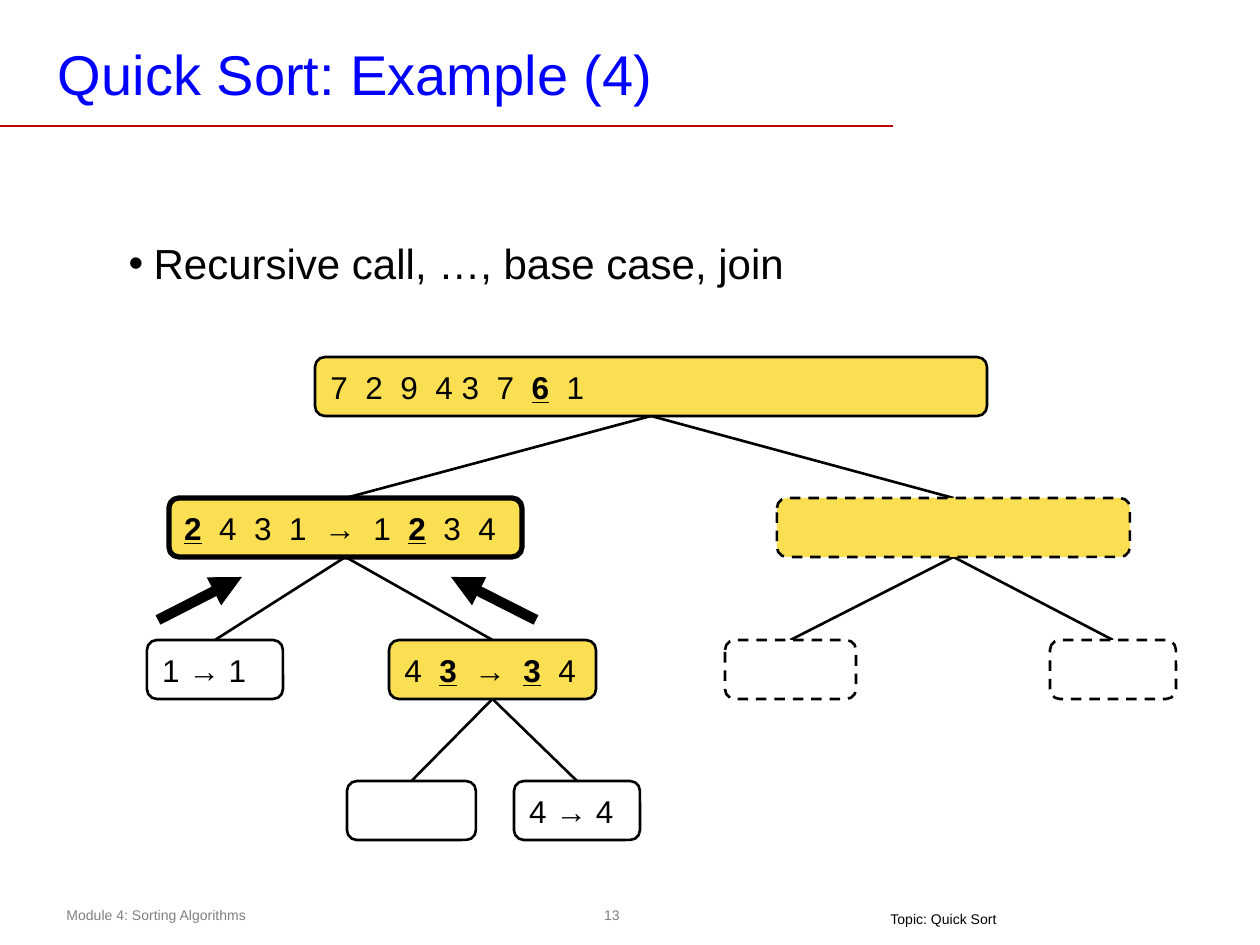
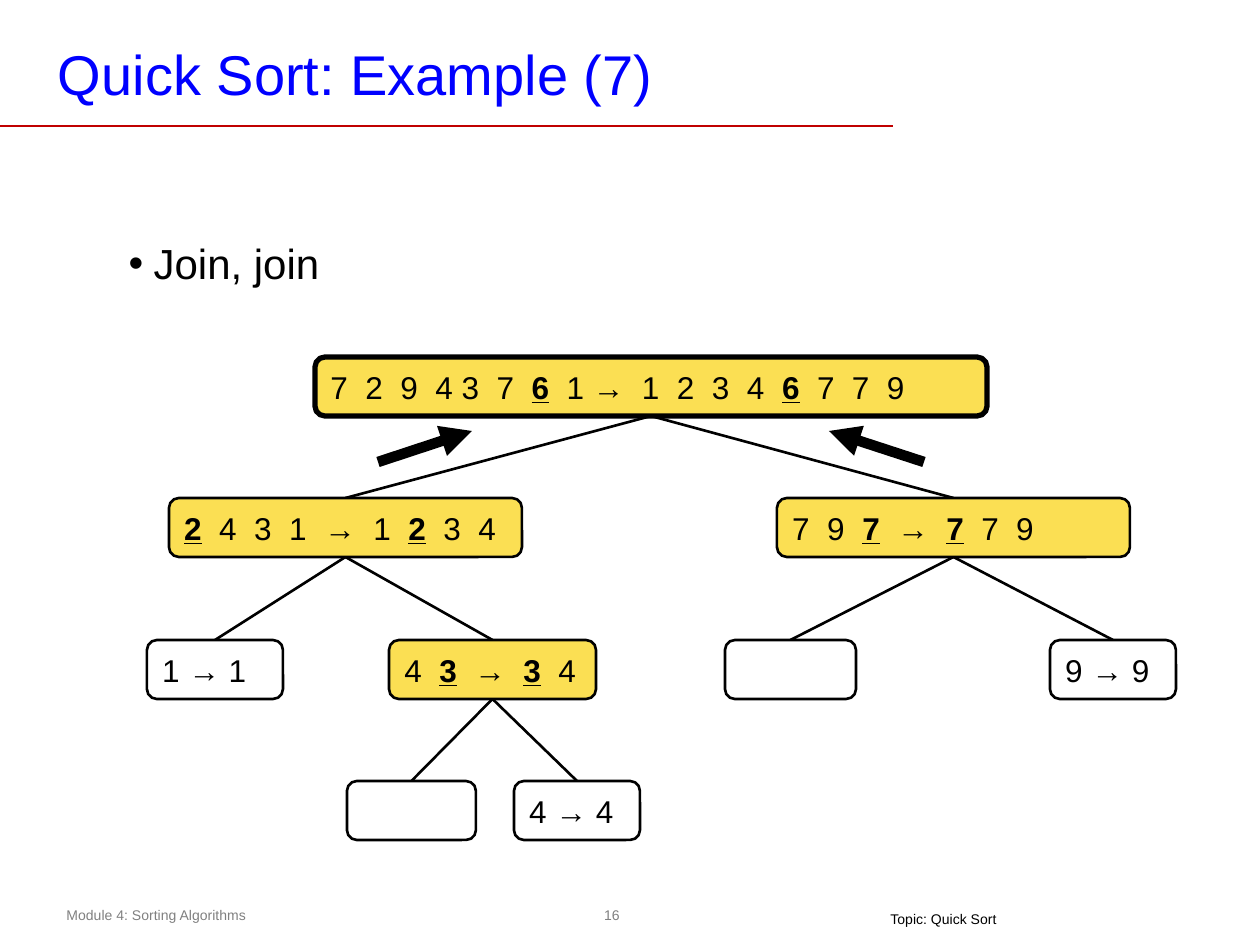
from lxml import etree
from pptx import Presentation
from pptx.dml.color import RGBColor
from pptx.enum.dml import MSO_LINE
from pptx.enum.shapes import MSO_CONNECTOR, MSO_SHAPE
from pptx.enum.text import MSO_ANCHOR, MSO_AUTO_SIZE, PP_ALIGN
from pptx.oxml.ns import qn
from pptx.util import Emu, Pt

FONT = "Arial"
BLACK = RGBColor(0x00, 0x00, 0x00)
WHITE = RGBColor(0xFF, 0xFF, 0xFF)
BLUE = RGBColor(0x00, 0x00, 0xFF)
RED = RGBColor(0xC0, 0x00, 0x00)
GREY = RGBColor(0x80, 0x80, 0x80)
YELLOW = RGBColor(0xFB, 0xDF, 0x53)

EMU_PER_PX = 914400 / 126
NODE_HEIGHT = 59
LEVEL_TOPS = [357, 498, 640, 781]

# name: left, level, width, fill, parent
TREE = {
    "root": (315, 0, 672, YELLOW, None),
    "small": (169, 1, 353, YELLOW, "root"),
    "large": (777, 1, 353, YELLOW, "root"),
    "small low": (147, 2, 136, WHITE, "small"),
    "small high": (389, 2, 207, YELLOW, "small"),
    "large low": (725, 2, 131, WHITE, "large"),
    "large high": (1050, 2, 126, WHITE, "large"),
    "lowest": (347, 3, 129, WHITE, "small high"),
    "highest": (514, 3, 126, WHITE, "small high"),
}

# Asterisks enclose bold text; pivots in bold are also underlined.
SORTED_SMALL = {
    "small": "*2*  4  3  1  *→*  1  *2*  3  4",
    "small low": "1 *→* 1",
    "small high": "4  *3*  *→*  *3*  4",
    "highest": "4 *→* 4",
}
STEPS = [
    {
        "title": "Quick Sort: Example (4)",
        "bullet": "Recursive call, …, base case, join",
        "number": "13",
        "texts": {**SORTED_SMALL, "root": "7  2  9  4 3  7  *6*  1"},
        "active": "small",
        "pending": ["large", "large low", "large high"],
        "arrows": [(158, 620, 242, 577), (536, 620, 451, 577)],
    },
    {
        "title": "Quick Sort: Example (7)",
        "bullet": "Join, join",
        "number": "16",
        "texts": {
            **SORTED_SMALL,
            "root": "7  2  9  4 3  7  *6*  1 *→*  1  2  3  4  *6*  7  7  9",
            "large": "7  9  *7*  *→*  *7*  7  9",
            "large high": "9 *→* 9",
        },
        "active": "root",
        "pending": [],
        "arrows": [(378, 462, 472, 431), (924, 462, 829, 431)],
    },
]


def px(*lengths):
    return [Emu(round(length * EMU_PER_PX)) for length in lengths]


def add_line(slide, ends, color, width):
    connector = slide.shapes.add_connector(MSO_CONNECTOR.STRAIGHT, *px(*ends))
    connector.line.color.rgb = color
    connector.line.width = Pt(width)
    etree.SubElement(connector._element.spPr, qn("a:effectLst"))
    return connector


presentation = Presentation()
presentation.slide_width, presentation.slide_height = px(1260, 945)

for step in STEPS:
    slide = presentation.slides.add_slide(presentation.slide_layouts[1])
    title, body = slide.placeholders
    add_line(slide, (0, 126, 893, 126), RED, 1)

    # Title and bullet
    for shape, text, box, size, color, anchor in [
        (title, step["title"], (49, 35, 935, 76), 32, BLUE, MSO_ANCHOR.BOTTOM),
        (body, step["bullet"], (116, 231, 1071, 95), 24, BLACK, MSO_ANCHOR.TOP),
    ]:
        shape.left, shape.top, shape.width, shape.height = px(*box)
        frame = shape.text_frame
        frame.text = text
        frame.auto_size = MSO_AUTO_SIZE.NONE
        frame.vertical_anchor = anchor
        paragraph = frame.paragraphs[0]
        paragraph.alignment = PP_ALIGN.LEFT
        paragraph.space_before = Pt(0)
        paragraph.font.name = FONT
        paragraph.font.size = Pt(size)
        paragraph.font.color.rgb = color
    frame = title.text_frame
    frame.margin_left, frame.margin_right, frame.margin_top, frame.margin_bottom = px(9, 9, 4, 4)
    bullet_indent = px(25)[0]
    properties = body.text_frame.paragraphs[0]._p.get_or_add_pPr()
    properties.set("marL", str(bullet_indent))
    properties.set("indent", str(-bullet_indent))

    # Footer
    for text, box, color, alignment in [
        ("Module 4: Sorting Algorithms", (54, 900, 459, 30), GREY, PP_ALIGN.LEFT),
        (step["number"], (582, 900, 60, 30), GREY, PP_ALIGN.CENTER),
        ("Topic: Quick Sort", (878, 908, 134, 21), BLACK, PP_ALIGN.LEFT),
    ]:
        frame = slide.shapes.add_textbox(*px(*box)).text_frame
        frame.text = text
        frame.word_wrap = True
        frame.margin_top = frame.margin_bottom = 0
        frame.vertical_anchor = MSO_ANCHOR.MIDDLE
        paragraph = frame.paragraphs[0]
        paragraph.alignment = alignment
        paragraph.font.name = FONT
        paragraph.font.size = Pt(8)
        paragraph.font.color.rgb = color

    # Branches of the tree, from parent to child
    for left, level, width, fill, parent in TREE.values():
        if parent:
            parent_left, parent_level, parent_width, *_ = TREE[parent]
            start = (parent_left + parent_width / 2, LEVEL_TOPS[parent_level] + NODE_HEIGHT)
            end = (left + width / 2, LEVEL_TOPS[level])
            add_line(slide, start + end, BLACK, 1.5)

    # Nodes of the tree
    for name, (left, level, width, fill, parent) in TREE.items():
        node = slide.shapes.add_shape(
            MSO_SHAPE.ROUNDED_RECTANGLE, *px(left, LEVEL_TOPS[level], width, NODE_HEIGHT)
        )
        node.shadow.inherit = False
        node.fill.solid()
        node.fill.fore_color.rgb = fill
        node.line.color.rgb = BLACK
        node.line.width = Pt(3 if name == step["active"] else 1.5)
        if name in step["pending"]:
            node.line.dash_style = MSO_LINE.DASH
        if name not in step["texts"]:
            continue
        frame = node.text_frame
        frame.word_wrap = True
        frame.vertical_anchor = MSO_ANCHOR.MIDDLE
        paragraph = frame.paragraphs[0]
        paragraph.alignment = PP_ALIGN.LEFT
        paragraph.font.name = FONT
        paragraph.font.size = Pt(18)
        paragraph.font.color.rgb = BLACK
        for index, piece in enumerate(step["texts"][name].split("*")):
            if piece:
                run = paragraph.add_run()
                run.text = piece
                if index % 2:
                    run.font.bold = True
                    run.font.underline = piece != "→"

    # Arrows that show the join
    for ends in step["arrows"]:
        arrow = add_line(slide, ends, BLACK, 6)
        etree.SubElement(arrow.line._get_or_add_ln(), qn("a:tailEnd"), type="triangle")

presentation.save("out.pptx")
